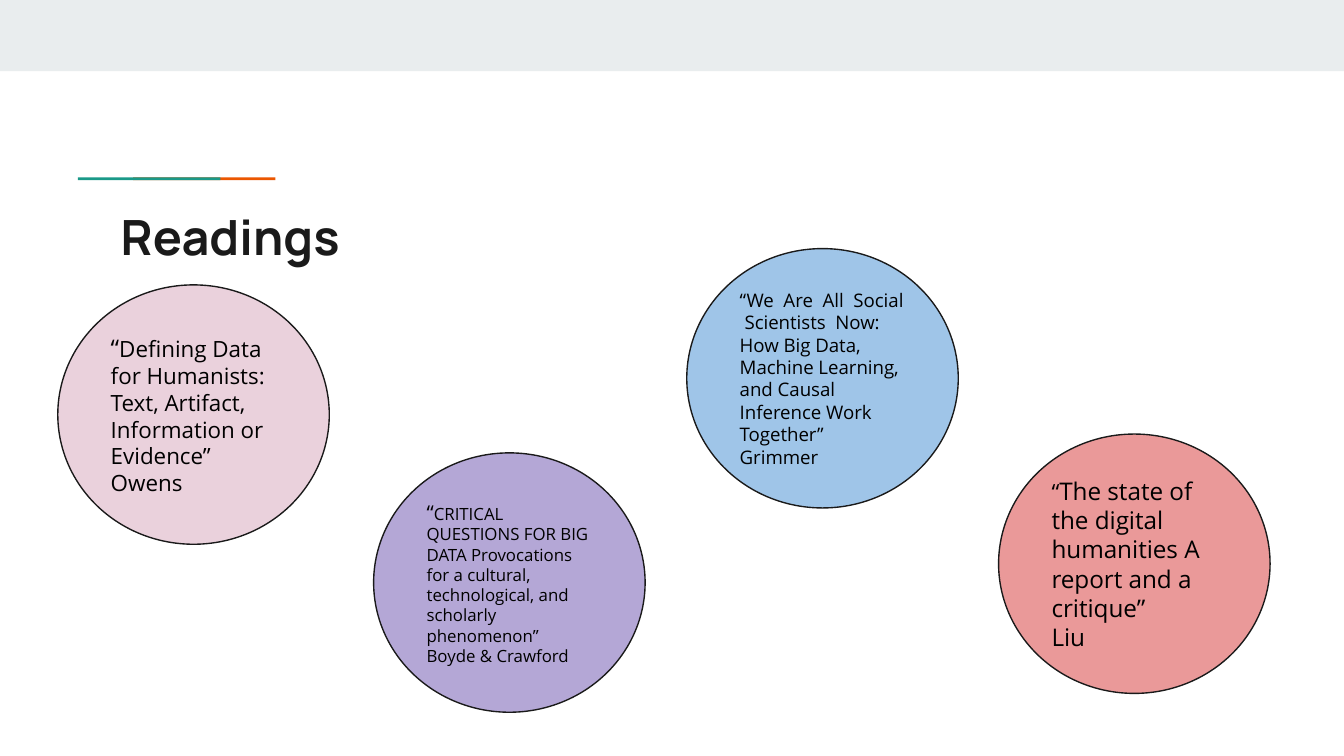
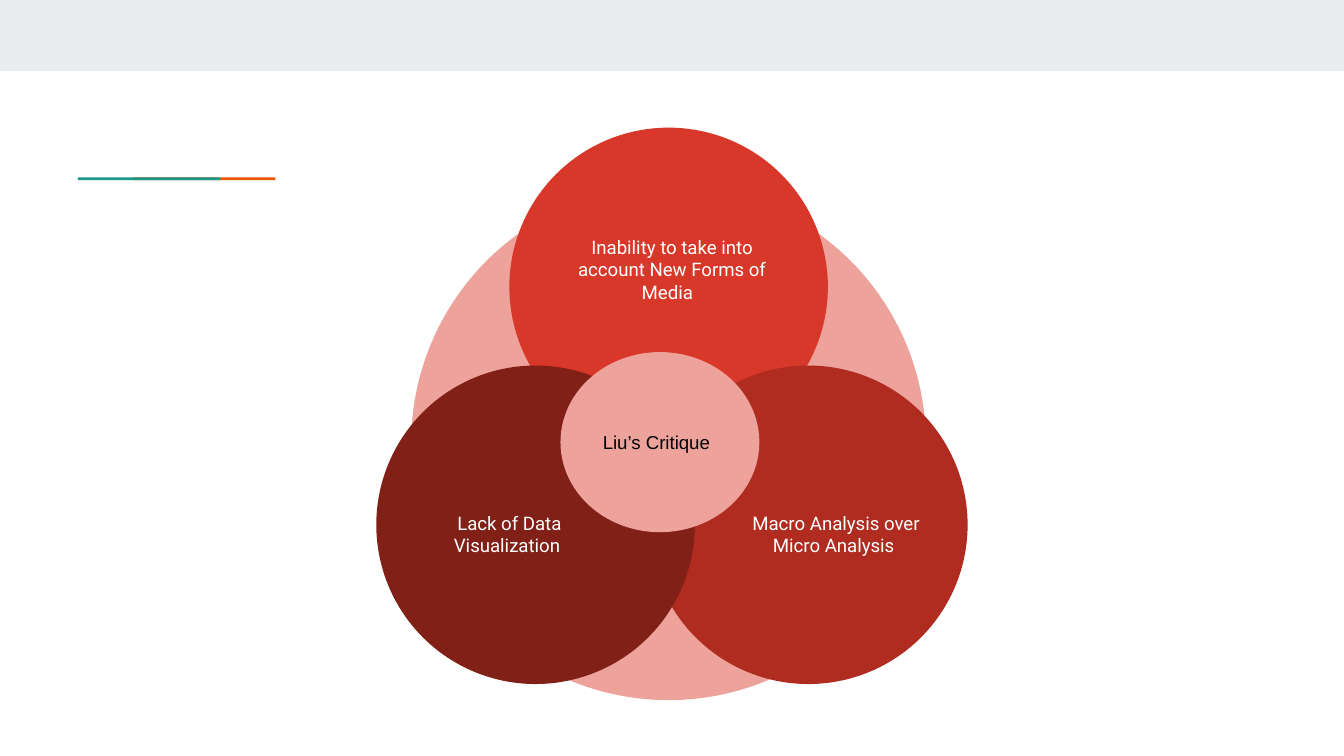
from pptx import Presentation
from pptx.dml.color import RGBColor
from pptx.enum import shapes, text
from pptx.util import Inches, Pt

INK, BLACK, WHITE = "1A1A1A", "000000", "FFFFFF"
BAND, TEAL, ORANGE = "E9EDEE", "1A9988", "EB5600"
ROSE = "EDA29B"
RECT, OVAL = shapes.MSO_SHAPE.RECTANGLE, shapes.MSO_SHAPE.OVAL
LEFT, MID = text.PP_ALIGN.LEFT, text.PP_ALIGN.CENTER
TOP, HALF = text.MSO_ANCHOR.TOP, text.MSO_ANCHOR.MIDDLE
BREAK = ("", 0)


def tint(code):
    return RGBColor.from_string(code)


def form(host, kind, box, fill, edge=None):
    """Add a flat preset shape to a slide or group."""
    item = host.shapes.add_shape(kind, *map(Inches, box))
    item.shadow.inherit = False
    item.fill.solid()
    item.fill.fore_color.rgb = tint(fill)
    if edge:
        item.line.color.rgb = tint(edge)
        item.line.width = Pt(0.75)
    else:
        item.line.fill.background()
    return item


def write(item, paras, font, color, align=LEFT, anchor=HALF, bold=False):
    """Fill a shape with paragraphs, each a list of (words, size) runs."""
    frame = item.text_frame
    frame.word_wrap = True
    frame.vertical_anchor = anchor
    frame.margin_left = frame.margin_right = Inches(0.1)
    frame.margin_top = frame.margin_bottom = Inches(0.1)
    for i, runs in enumerate(paras):
        para = frame.add_paragraph() if i else frame.paragraphs[0]
        para.alignment = align
        for words, size in runs:
            if not words:
                para.add_line_break()
                continue
            run = para.add_run()
            run.text = words
            run.font.size = Pt(size)
            run.font.name = font
            run.font.bold = bold
            run.font.color.rgb = tint(color)


def label(host, box):
    return host.shapes.add_textbox(*map(Inches, box))


def start(deck):
    """Add a slide with the shared top band and two-colour rule."""
    slide = deck.slides.add_slide(deck.slide_layouts[6])
    form(slide, RECT, (0, 0, 10, 0.53), BAND)
    for left, color in ((0.99, ORANGE), (0.58, TEAL)):
        form(slide, RECT, (left, 1.32, 1.06, 0.02), color)
    return slide


def bubble(slide, left, top, fill, paras):
    disc = form(slide, OVAL, (left, top, 2.02, 1.93), fill, INK)
    write(disc, paras, "Open Sans", BLACK)


def readings(deck):
    slide = start(deck)
    write(label(slide, (0.8, 1.44, 8.41, 0.59)), [[("Readings", 26)]],
          "Manrope", INK, anchor=TOP, bold=True)
    works = [
        (0.43, 2.12, "EAD1DC", [[
            ("“", 13),
            ("Defining Data for Humanists: Text, Artifact, "
             "Information or Evidence” Owens", 12)]]),
        (2.78, 3.37, "B4A7D6", [[
            ("“", 11),
            ("CRITICAL QUESTIONS FOR BIG DATA Provocations for a cultural, "
             "technological, and scholarly phenomenon”", 9),
            BREAK,
            ("Boyde & Crawford", 9)]]),
        (5.11, 1.85, "9FC5E8", [[
            ("“We  Are  All  Social  Scientists  Now: How Big Data, Machine "
             "Learning, and Causal Inference Work Together” Grimmer", 10)]]),
        (7.43, 3.23, "EA9999", [
            [("“", 12),
             ("The state of the digital humanities A report and a critique”",
              13)],
            [("Liu", 13)]]),
    ]
    for work in works:
        bubble(slide, *work)


def petal(slide, left, top, fill, shift, drop, words):
    """Group a disc with its label, offset from the disc's corner."""
    group = slide.shapes.add_group_shape()
    form(group, OVAL, (left, top, 2.37, 2.37), fill)
    write(label(group, (left + shift, top + drop, 1.64, 0.77)),
          [[(words, 10)]], "Roboto", WHITE, MID)


def critique(deck):
    slide = start(deck)
    form(slide, OVAL, (3.06, 1.38, 3.83, 3.83), ROSE)
    petals = [
        (3.79, 0.95, "D83829", 0.39, 0.67,
         "Inability to take into account New Forms of Media  "),
        (4.83, 2.72, "B02C20", 0.57, 0.87,
         "Macro Analysis over Micro Analysis "),
        (2.8, 2.72, "802017", 0.17, 0.87, "Lack of Data Visualization "),
    ]
    for part in petals:
        petal(slide, *part)
    core = form(slide, OVAL, (4.17, 2.62, 1.48, 1.34), ROSE)
    write(core, [[("Liu’s Critique", 10)]], "Arial", BLACK)


def main():
    deck = Presentation()
    deck.slide_width = Inches(10)
    deck.slide_height = deck.slide_width * 9 // 16
    readings(deck)
    critique(deck)
    deck.save("out.pptx")


if __name__ == "__main__":
    main()
